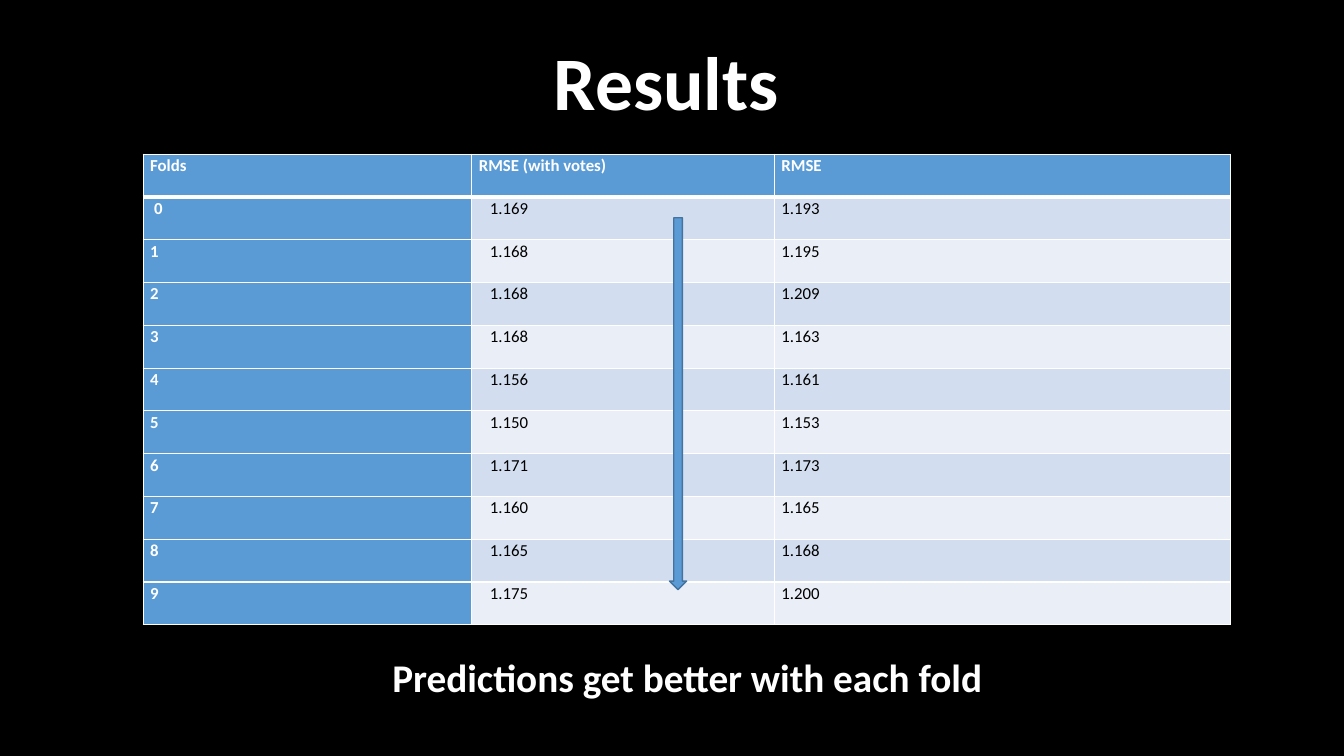
from pptx import Presentation
from pptx.dml.color import RGBColor
from pptx.enum.shapes import MSO_SHAPE as SHAPE
from pptx.enum.text import MSO_AUTO_SIZE as AUTO, PP_ALIGN as ALIGN
from pptx.oxml.ns import qn
from pptx.util import Inches, Pt
from lxml.etree import SubElement

BLACK = RGBColor(0x00, 0x00, 0x00)
WHITE = RGBColor(0xFF, 0xFF, 0xFF)
BLUE = RGBColor(0x5B, 0x9B, 0xD5)
BLUE_EDGE = RGBColor(0x43, 0x73, 0x9E)
BANDS = (RGBColor(0xD2, 0xDE, 0xEF), RGBColor(0xEA, 0xEF, 0xF7))

FONT = "Calibri"
WIDTH, HEIGHT = Inches(13.33), Inches(7.5)
CELL_INSET = 0.07
VALUE_INDENT = 0.11  # extra inset of the middle column
FIRST_INDENT = 0.04  # extra inset of fold 0

HEADER = ("Folds", "RMSE (with votes)", "RMSE")
RMSE_VOTES = ("1.169", "1.168", "1.168", "1.168", "1.156",
              "1.150", "1.171", "1.160", "1.165", "1.175")
RMSE = ("1.193", "1.195", "1.209", "1.163", "1.161",
        "1.153", "1.173", "1.165", "1.168", "1.200")
COLUMN_SHARES = (24.46, 22.51, 33.91)


def across(percent):
    return int(WIDTH * percent / 100)


def down(percent):
    return int(HEIGHT * percent / 100)


def area(left, top, width, height):
    """Turn percentages of the slide into a left, top, width, height tuple."""
    return across(left), down(top), across(width), down(height)


def write(tf, text, size=12, color=WHITE, bold=True, align=ALIGN.LEFT, spacing=None):
    p = tf.paragraphs[0]
    p.alignment = align
    p.line_spacing = spacing
    r = p.add_run()
    r.text = text
    r.font.name = FONT
    r.font.size = Pt(size)
    r.font.bold = bold
    r.font.color.rgb = color


def add_label(slide, text, box, size):
    tf = slide.shapes.add_textbox(*box).text_frame
    tf.word_wrap = False
    tf.auto_size = AUTO.SHAPE_TO_FIT_TEXT
    write(tf, text, size=size, align=ALIGN.CENTER)


def add_borders(cell, top, bottom):
    tcPr = cell._tc.get_or_add_tcPr()
    for side, points in (("L", 1), ("R", 1), ("T", top), ("B", bottom)):
        ln = SubElement(tcPr, qn(f"a:ln{side}"), w=str(Pt(points)))
        fill = SubElement(ln, qn("a:solidFill"))
        SubElement(fill, qn("a:srgbClr"), val=str(WHITE))


def fill_cell(cell, text, row, col):
    is_label = row == 0 or col == 0
    indent = 0
    if row > 0 and col == 1:
        indent = VALUE_INDENT
    elif row == 1 and col == 0:
        indent = FIRST_INDENT
    cell.margin_left = Inches(CELL_INSET + indent)
    cell.margin_right = Inches(CELL_INSET)
    cell.margin_top = cell.margin_bottom = 0
    add_borders(cell, top=3 if row == 1 else 1, bottom=3 if row == 0 else 1)
    cell.fill.solid()
    cell.fill.fore_color.rgb = BLUE if is_label else BANDS[(row - 1) % 2]
    write(cell.text_frame, text, color=WHITE if is_label else BLACK,
          bold=is_label, spacing=1.07)


def add_results_table(slide, rows, box):
    table = slide.shapes.add_table(len(rows), len(HEADER), *box).table
    table.horz_banding = False
    for column, share in zip(table.columns, COLUMN_SHARES):
        column.width = across(share)
    for i, row in enumerate(rows):
        for j, text in enumerate(row):
            fill_cell(table.cell(i, j), text, i, j)


def add_down_arrow(slide, box):
    sp = slide.shapes.add_shape(SHAPE.DOWN_ARROW, *box)
    sp.shadow.inherit = False
    sp.fill.solid()
    sp.fill.fore_color.rgb = BLUE
    sp.line.color.rgb = BLUE_EDGE
    sp.line.width = Pt(1)


def main():
    prs = Presentation()
    prs.slide_width, prs.slide_height = WIDTH, HEIGHT
    slide = prs.slides.add_slide(prs.slide_layouts[6])
    slide.background.fill.solid()
    slide.background.fill.fore_color.rgb = BLACK

    # Title
    add_label(slide, "Results", area(40.36, 4, 18.45, 13.47), size=54)

    # Errors by fold, with the trend arrow on top
    folds = [str(n) for n in range(len(RMSE))]
    rows = [HEADER, *zip(folds, RMSE_VOTES, RMSE)]
    add_results_table(slide, rows, area(10.65, 20.4, sum(COLUMN_SHARES), 62.27))
    add_down_arrow(slide, area(49.81, 28.8, 1.28, 49.2))

    # Conclusion
    add_label(slide, "Predictions get better with each fold",
              area(28.13, 85.73, 45.99, 7.6), size=28)

    prs.save("out.pptx")


if __name__ == "__main__":
    main()
